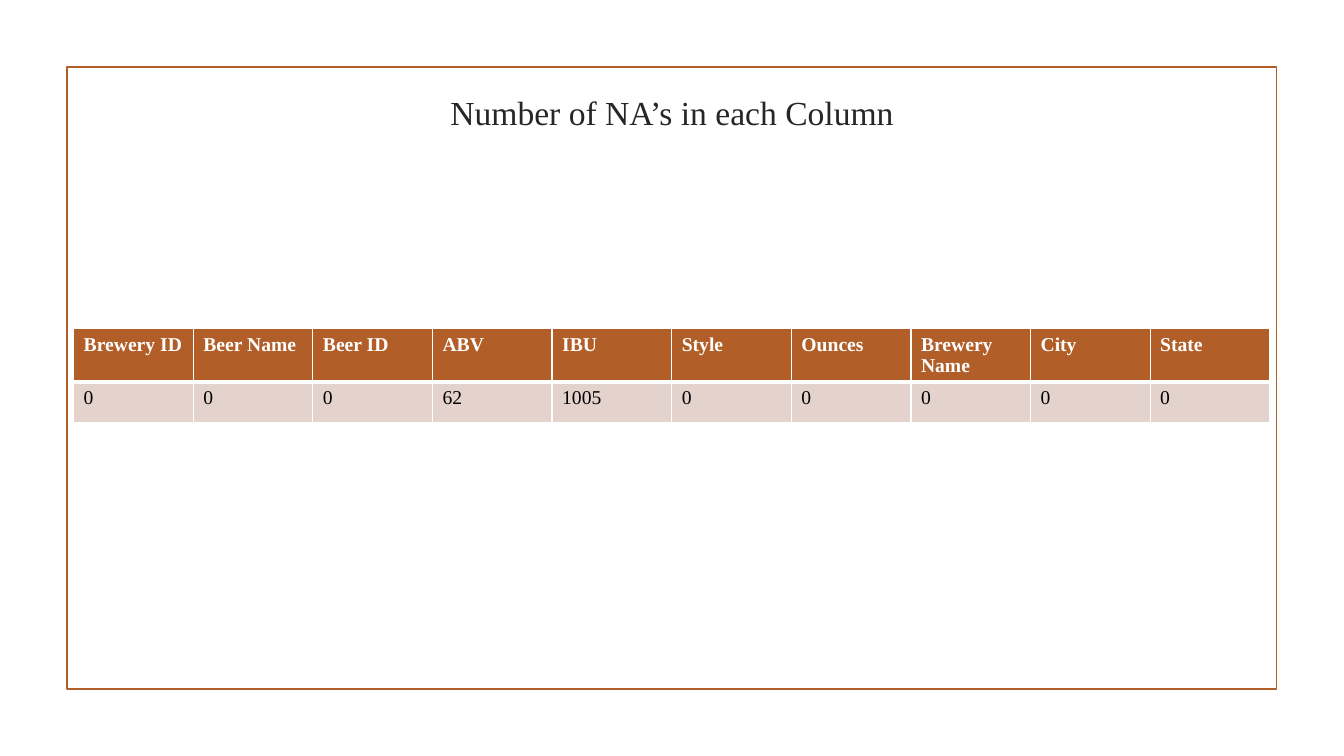
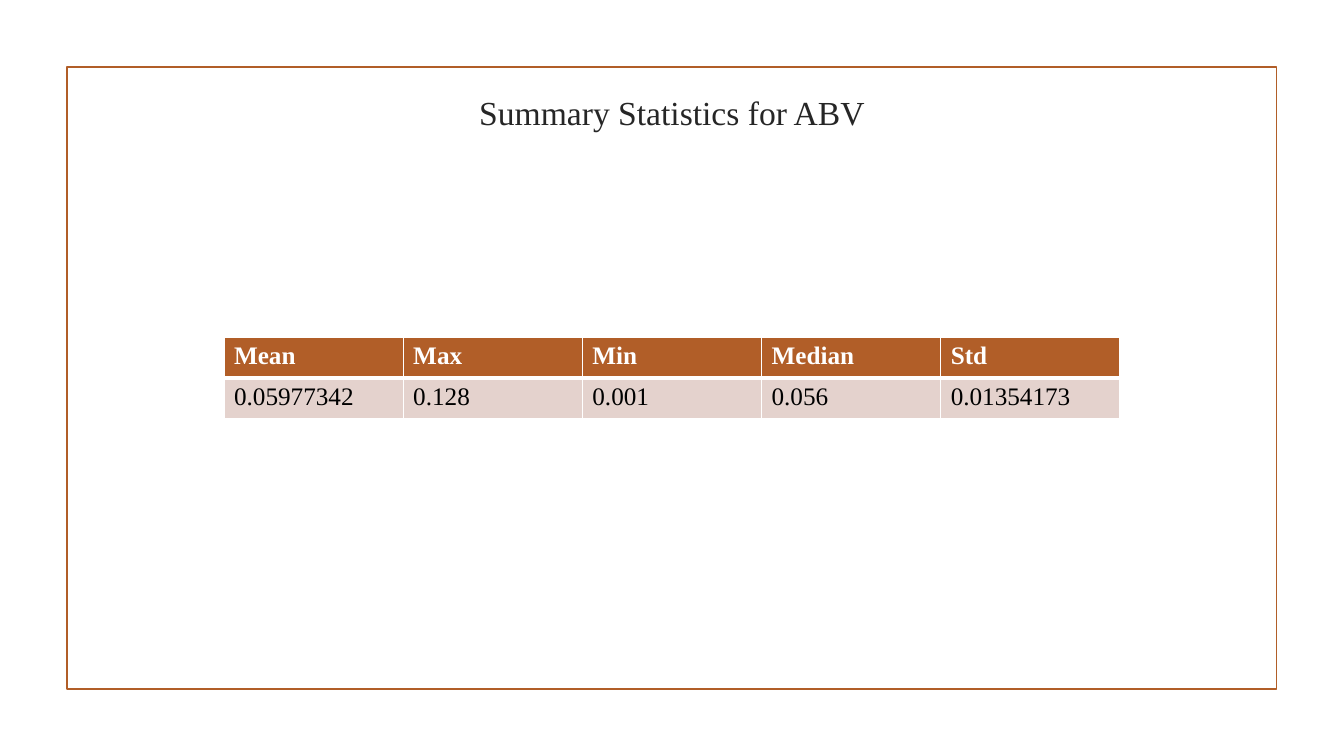
"""Build two table slides about a beer data set: missing values and ABV statistics."""
from dataclasses import dataclass

from lxml.etree import SubElement
from pptx import Presentation
from pptx.dml.color import RGBColor as RGB
from pptx.enum.shapes import MSO_SHAPE as SHAPE
from pptx.enum.text import MSO_ANCHOR as ANCHOR, PP_ALIGN as ALIGN
from pptx.oxml.ns import qn
from pptx.util import Pt


@dataclass(frozen=True)
class Theme:
    font: str = "Times New Roman"
    accent: str = "B15E28"
    band: str = "E4D2CD"
    white: str = "FFFFFF"
    black: str = "000000"
    title: str = "262626"
    title_size: int = 24
    frame_width: float = 1.25


T = Theme()
SLIDES = [
    ("Number of NA’s in each Column", 14, 52.6, 234.8, 854.6,
     [["Brewery ID", "Beer Name", "Beer ID", "ABV", "IBU",
       "Style", "Ounces", "Brewery Name", "City", "State"],
      ["0", "0", "0", "62", "1005", "0", "0", "0", "0", "0"]]),
    ("Summary Statistics for ABV", 18, 160, 240.8, 640,
     [["Mean", "Max", "Min", "Median", "Std"],
      ["0.05977342", "0.128", "0.001", "0.056", "0.01354173"]]),
]
ROW_HEIGHT = 29.2


def style(p, size, color, bold=False):
    p.font.name = T.font
    p.font.size = Pt(size)
    p.font.bold = bold
    p.font.color.rgb = RGB.from_string(color)


def add_borders(cell, **widths):
    tcPr = cell._tc.get_or_add_tcPr()
    for side, width in widths.items():
        ln = SubElement(tcPr, qn(f"a:ln{side}"), w=str(Pt(width)))
        fill = SubElement(ln, qn("a:solidFill"))
        SubElement(fill, qn("a:srgbClr"), val=T.white)


prs = Presentation()
prs.slide_width, prs.slide_height = Pt(960), Pt(540)

for title, size, left, top, width, rows in SLIDES:
    s = prs.slides.add_slide(prs.slide_layouts[5])

    frame = s.shapes.add_shape(SHAPE.RECTANGLE, Pt(47.8), Pt(48), Pt(864), Pt(444))
    frame.shadow.inherit = False
    frame.fill.background()
    frame.line.color.rgb = RGB.from_string(T.accent)
    frame.line.width = Pt(T.frame_width)

    sp = s.shapes.title
    sp.left, sp.top, sp.width, sp.height = Pt(102), Pt(62.6), Pt(756), Pt(35.4)
    tf = sp.text_frame
    tf.text = title
    tf.word_wrap = True
    tf.vertical_anchor = ANCHOR.MIDDLE
    p = tf.paragraphs[0]
    p.alignment = ALIGN.CENTER
    style(p, T.title_size, T.title)

    table = s.shapes.add_table(len(rows), len(rows[0]), Pt(left), Pt(top),
                               Pt(width), Pt(ROW_HEIGHT * len(rows))).table
    for column in table.columns:
        column.width = Pt(width / len(rows[0]))
    for i, row in enumerate(rows):
        header = i == 0
        table.rows[i].height = Pt(ROW_HEIGHT)
        for j, text in enumerate(row):
            cell = table.cell(i, j)
            cell.text = text
            style(cell.text_frame.paragraphs[0], size,
                  T.white if header else T.black, header)
            add_borders(cell, L=1, R=1, T=1 if header else 3, B=3 if header else 1)
            cell.fill.solid()
            cell.fill.fore_color.rgb = RGB.from_string(T.accent if header else T.band)

prs.save("out.pptx")
